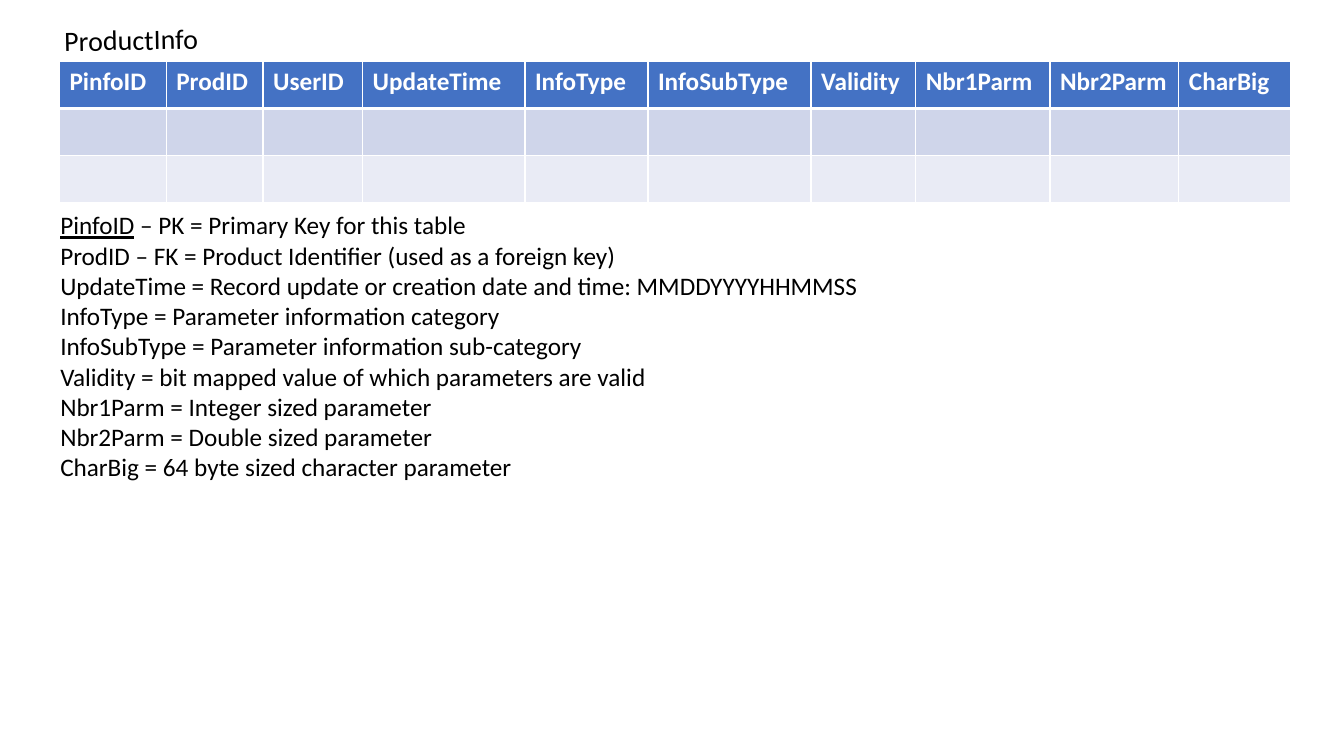
from lxml import etree
from pptx import Presentation
from pptx.dml.color import RGBColor
from pptx.enum.text import MSO_AUTO_SIZE
from pptx.oxml.ns import qn
from pptx.util import Cm, Pt

FIT_SHAPE = MSO_AUTO_SIZE.SHAPE_TO_FIT_TEXT
FONT = "Calibri"
BLACK, WHITE = "000000", "FFFFFF"
ROW_FILLS = ["4472C4", "CFD5EA", "E9EBF5"]
ROW_HEIGHT = 1.185
THIN, THICK = 1, 3

TABLE_NAME = "ProductInfo"
# Field name and column width in cm
FIELDS = [
    ("PinfoID", 2.69), ("ProdID", 2.44), ("UserID", 2.51), ("UpdateTime", 4.09),
    ("InfoType", 3.1), ("InfoSubType", 4.11), ("Validity", 2.64),
    ("Nbr1Parm", 3.38), ("Nbr2Parm", 3.25), ("CharBig", 2.82),
]
PRIMARY_KEY = "PinfoID"
DEFINITIONS = [
    (PRIMARY_KEY, " – PK = Primary Key for this table"),
    ("ProdID", " – FK = Product Identifier (used as a foreign key)"),
    ("UpdateTime", " = Record update or creation date and time: MMDDYYYYHHMMSS"),
    ("InfoType", " = Parameter information category"),
    ("InfoSubType", " = Parameter information sub-category"),
    ("Validity", " = bit mapped value of which parameters are valid"),
    ("Nbr1Parm", " = Integer sized parameter"),
    ("Nbr2Parm", " = Double sized parameter"),
    ("CharBig", " = 64 byte sized character parameter"),
]


def rgb(color):
    """Turn a hex string into a colour."""
    return RGBColor.from_string(color)


def add_run(paragraph, text, size=18, color=BLACK, bold=False, underline=False):
    """Append one formatted run to a paragraph."""
    run = paragraph.add_run()
    run.text = text
    font = run.font
    font.name, font.size, font.bold, font.underline = FONT, Pt(size), bold, underline
    font.color.rgb = rgb(color)


def add_text_frame(slide, left, top, width, height, rotation=0):
    """Add a wrapping text box, in cm, and return its frame."""
    box = slide.shapes.add_textbox(Cm(left), Cm(top), Cm(width), Cm(height))
    box.rotation = rotation
    box.text_frame.word_wrap = True
    box.text_frame.auto_size = FIT_SHAPE
    return box.text_frame


def set_borders(cell, top, bottom):
    """Draw white cell borders, thin at the sides."""
    properties = cell._tc.get_or_add_tcPr()
    for side, points in (("L", THIN), ("R", THIN), ("T", top), ("B", bottom)):
        line = etree.SubElement(properties, qn(f"a:ln{side}"), w=str(Pt(points)))
        fill = etree.SubElement(line, qn("a:solidFill"))
        etree.SubElement(fill, qn("a:srgbClr"), val=WHITE)


def add_field_table(slide, left, top):
    """Add the header row of field names and the empty rows below it."""
    width = sum(column_width for _, column_width in FIELDS)
    table = slide.shapes.add_table(
        len(ROW_FILLS), len(FIELDS), Cm(left), Cm(top),
        Cm(width), Cm(ROW_HEIGHT * len(ROW_FILLS))).table
    for column, (field, column_width) in zip(table.columns, FIELDS):
        column.width = Cm(column_width)
    for index, (row, row_fill) in enumerate(zip(table.rows, ROW_FILLS)):
        row.height = Cm(ROW_HEIGHT)
        for cell, (field, _) in zip(row.cells, FIELDS):
            set_borders(cell, THICK if index == 1 else THIN,
                        THICK if index == 0 else THIN)
            cell.fill.solid()
            cell.fill.fore_color.rgb = rgb(row_fill)
            if index == 0:
                add_run(cell.text_frame.paragraphs[0], field, color=WHITE, bold=True)


def add_definitions(slide):
    """List what each field means, with the primary key underlined."""
    frame = add_text_frame(slide, 1.27, 5.16, 30.78, 7.19)
    for index, (field, meaning) in enumerate(DEFINITIONS):
        paragraph = frame.add_paragraph() if index else frame.paragraphs[0]
        add_run(paragraph, field, underline=field == PRIMARY_KEY)
        add_run(paragraph, meaning)


presentation = Presentation()
presentation.slide_width, presentation.slide_height = Cm(33.87), Cm(19.05)
slide = presentation.slides.add_slide(presentation.slide_layouts[6])

title = add_text_frame(slide, 1.37, 0.43, 4.75, 1.12, rotation=359)
add_run(title.paragraphs[0], TABLE_NAME, size=20)
add_definitions(slide)
add_field_table(slide, 1.5, 1.55)

presentation.save("out.pptx")
